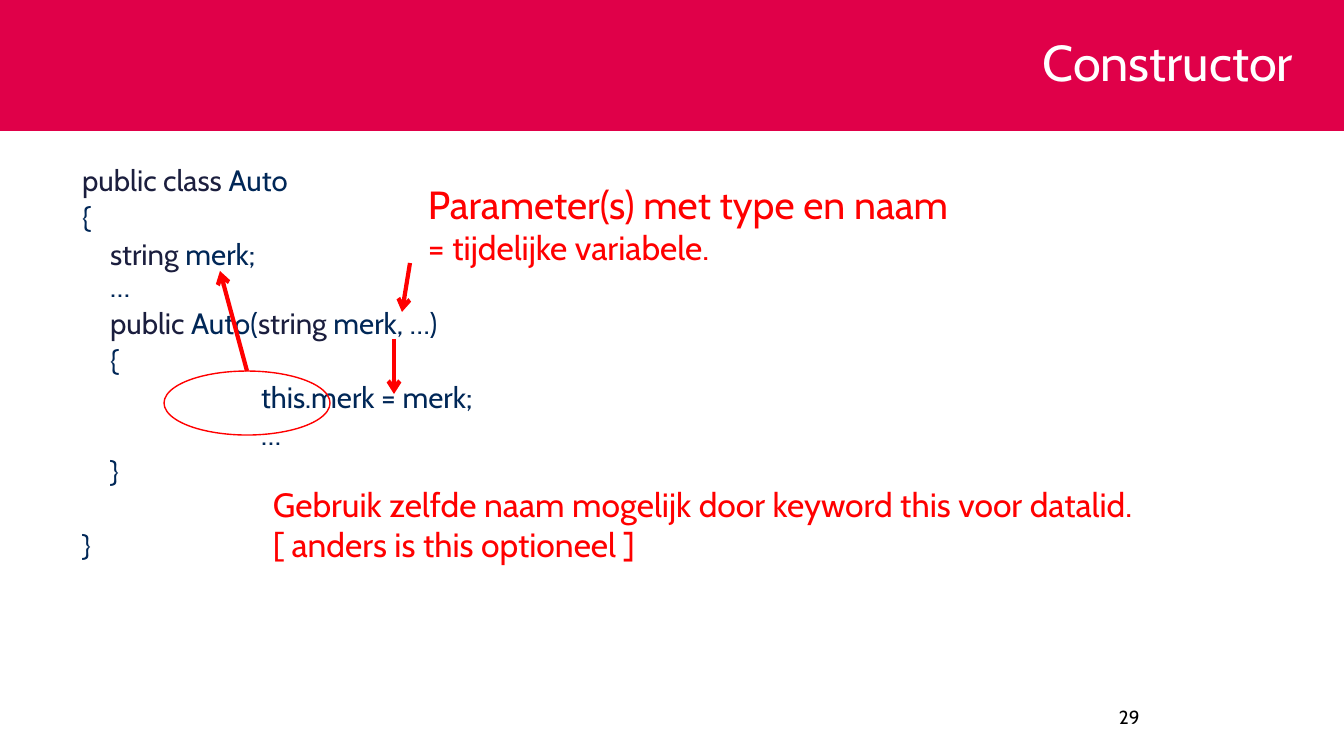
import pptx
import pptx.dml.color
import pptx.enum.shapes
import pptx.enum.text
import pptx.oxml
import pptx.oxml.ns
import pptx.util

PX = 914400 / 100.8
FONT = "Cabin"
CRIMSON, RED, WHITE, BLACK = "E00049", "FF0000", "FFFFFF", "000000"
KEYWORD, NAVY = "1B1E3E", "002757"
CODE_SIZE = 21
CODE_INDENTS = (38, 66, 217)
LINE_GAP, BLOCK_GAP = 3.8, 30.2

# Indent step, space before in points, coloured pieces of the line
CODE_LINES = [
    (0, 0, [("public class ", KEYWORD), ("Auto", NAVY)]),
    (0, LINE_GAP, [("{", NAVY)]),
    (1, LINE_GAP, [("string", KEYWORD), (" merk;", NAVY)]),
    (1, 0, [("…", NAVY)]),
    (1, LINE_GAP, [("public", KEYWORD), (" Auto(", NAVY), ("string", KEYWORD), (" merk, …)", NAVY)]),
    (1, LINE_GAP, [("{", NAVY)]),
    (2, LINE_GAP, [("this.merk = merk;", NAVY)]),
    (2, LINE_GAP, [("…", NAVY)]),
    (1, LINE_GAP, [("}", NAVY)]),
    (0, BLOCK_GAP, [("}", NAVY)]),
]


def px(length):
    return pptx.util.Emu(round(length * PX))


def colour(value):
    return pptx.dml.color.RGBColor.from_string(value)


def apply(target, values):
    for name, value in values.items():
        setattr(target, name, value)


def add_run(paragraph, text, size, fill):
    run = paragraph.add_run()
    run.text = text
    apply(run.font, {"name": FONT, "size": pptx.util.Pt(size)})
    run.font.color.rgb = colour(fill)


def format_frame(frame, wrap=True, anchor=pptx.enum.text.MSO_ANCHOR.TOP):
    apply(frame, {
        "word_wrap": wrap, "vertical_anchor": anchor,
        "auto_size": pptx.enum.text.MSO_AUTO_SIZE.NONE,
        "margin_left": px(10), "margin_right": px(10),
        "margin_top": px(5), "margin_bottom": px(5),
    })


def add_frame(slide, box, wrap=True):
    frame = slide.shapes.add_textbox(*map(px, box)).text_frame
    format_frame(frame, wrap)
    return frame


def next_paragraph(frame, index):
    return frame.add_paragraph() if index else frame.paragraphs[0]


def add_header(slide, box, text):
    left, top, width, height = box
    # Banner behind the title
    banner = slide.shapes.add_shape(pptx.enum.shapes.MSO_SHAPE.RECTANGLE, *map(px, box))
    banner.shadow.inherit = False
    banner.fill.solid()
    banner.fill.fore_color.rgb = colour(CRIMSON)
    banner.line.fill.background()
    title = slide.shapes.title
    title.element.addprevious(banner.element)
    # Title at the right
    apply(title, {"left": px(left + 241), "top": px(top),
                  "width": px(width - 282), "height": px(height)})
    format_frame(title.text_frame, anchor=pptx.enum.text.MSO_ANCHOR.MIDDLE)
    paragraph = title.text_frame.paragraphs[0]
    apply(paragraph, {"alignment": pptx.enum.text.PP_ALIGN.RIGHT, "line_spacing": 0.9})
    add_run(paragraph, text, 36, WHITE)


def add_code(slide, box):
    frame = add_frame(slide, box)
    for index, (step, gap, pieces) in enumerate(CODE_LINES):
        paragraph = next_paragraph(frame, index)
        apply(paragraph, {"line_spacing": 0.9, "space_before": pptx.util.Pt(gap)})
        paragraph._p.get_or_add_pPr().set("marL", str(px(CODE_INDENTS[step])))
        for text, fill in pieces:
            add_run(paragraph, text, CODE_SIZE, fill)


def add_note(slide, box, lines, fill=RED, wrap=True):
    frame = add_frame(slide, box, wrap)
    for index, (text, size) in enumerate(lines):
        add_run(next_paragraph(frame, index), text, size, fill)


def add_arrow(slide, start, end):
    arrow = slide.shapes.add_connector(
        pptx.enum.shapes.MSO_CONNECTOR.STRAIGHT, *map(px, start + end))
    arrow.line.color.rgb = colour(RED)
    arrow.line.width = pptx.util.Pt(3)
    namespace = pptx.oxml.ns.nsdecls("a")
    arrow.line._get_or_add_ln().append(
        pptx.oxml.parse_xml(f'<a:tailEnd {namespace} type="arrow"/>'))
    arrow._element.spPr.append(pptx.oxml.parse_xml(f"<a:effectLst {namespace}/>"))
    return arrow


def add_field_marker(slide, box, target):
    left, top, width, height = box
    # Arrow from the top of the ellipse to the field
    arrow = add_arrow(slide, (left + width // 2, top), target)
    ellipse = slide.shapes.add_shape(pptx.enum.shapes.MSO_SHAPE.OVAL, *map(px, box))
    ellipse.shadow.inherit = False
    ellipse.fill.background()
    ellipse.line.color.rgb = colour(RED)
    ellipse.line.width = pptx.util.Pt(1)
    arrow.begin_connect(ellipse, 0)


def main():
    presentation = pptx.Presentation()
    apply(presentation, {"slide_width": px(1344), "slide_height": px(756)})
    slide = presentation.slides.add_slide(presentation.slide_layouts.get_by_name("Title Only"))

    add_header(slide, (0, 0, 1344, 131), "Constructor")
    add_code(slide, (34, 161, 1269, 562))
    add_note(slide, (1109, 701, 235, 40), [("29", 13.5)], BLACK)

    # Parameter note and its arrows
    add_note(slide, (418, 175, 580, 99),
             [("Parameter(s) met type en naam", 28), ("= tijdelijke variabele.", 24)], wrap=False)
    add_arrow(slide, (394, 339), (394, 394))
    add_arrow(slide, (410, 263), (402, 312))

    # Marked field and the note on this
    add_field_marker(slide, (164, 371, 166, 64), (220, 271))
    add_note(slide, (263, 479, 889, 132),
             [("Gebruik zelfde naam mogelijk door keyword this voor datalid.", 24),
              ("[ anders is this optioneel ]", 24)])

    presentation.save("out.pptx")


if __name__ == "__main__":
    main()
